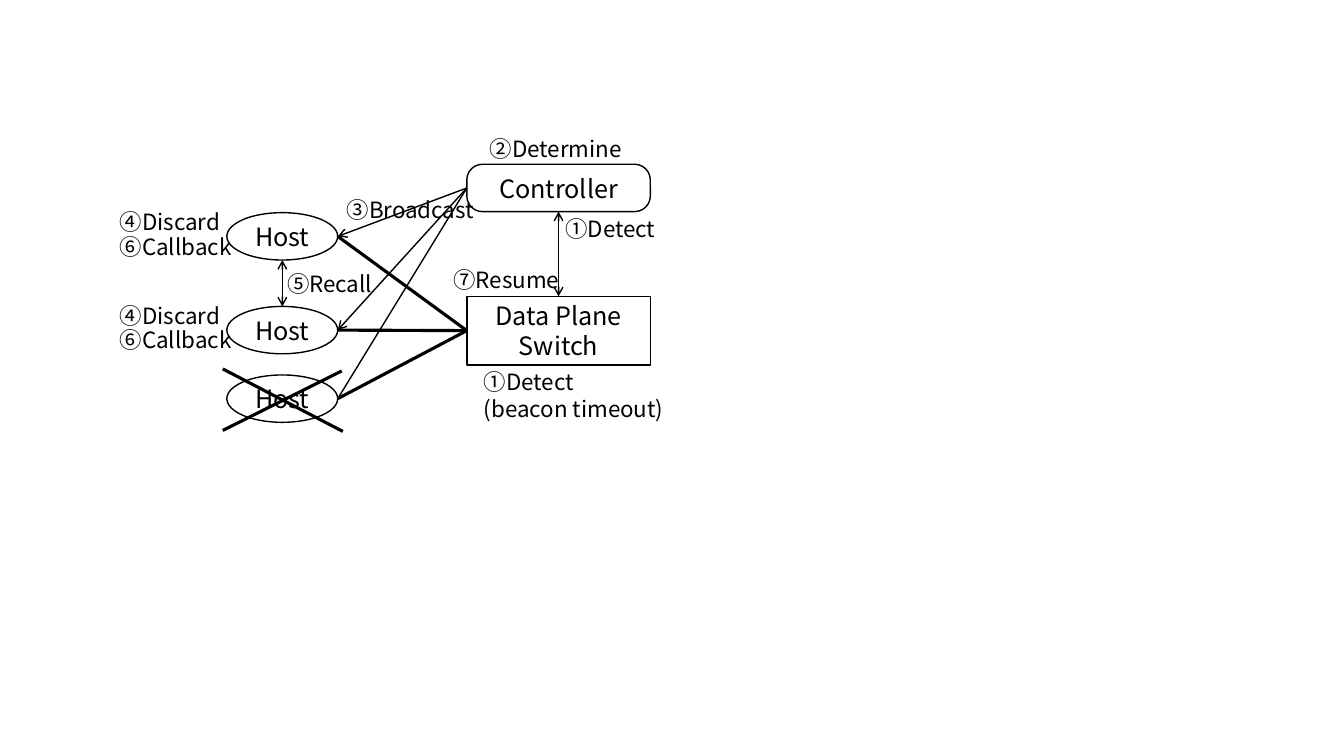
from pptx import Presentation
from pptx.dml.color import RGBColor
from pptx.enum.shapes import MSO_CONNECTOR as LINE, MSO_SHAPE as SHAPE
from pptx.enum.text import MSO_ANCHOR as ANCHOR, MSO_AUTO_SIZE as FIT, PP_ALIGN as ALIGN
from pptx.oxml.ns import qn
from pptx.util import Inches, Pt
from lxml.etree import SubElement

FONT = "Noto Sans CJK SC"
INK, PAPER = "000000", "FFFFFF"
THIN, THICK = 1, 2.25

deck = Presentation()
deck.slide_width, deck.slide_height = Inches(13.33), Inches(7.5)
slide = deck.slides.add_slide(deck.slide_layouts[6])

# Columns and rows of the diagram, in inches
HOST_LEFT, HOST_WIDTH = 2.25, 1.1
NODE_LEFT, NODE_WIDTH = 4.63, 1.82
HOST_TOPS = [2.11, 3.04, 3.72]
CONTROLLER_TOP, SWITCH_TOP = 1.63, 2.94
ROW, SWITCH_HEIGHT = 0.47, 0.68
LABEL_HEIGHT = 0.37
host_right = HOST_LEFT + HOST_WIDTH
host_middle = HOST_LEFT + HOST_WIDTH / 2
node_middle = NODE_LEFT + NODE_WIDTH / 2
host_centres = [top + ROW / 2 for top in HOST_TOPS]
controller_centre = CONTROLLER_TOP + ROW / 2
switch_centre = SWITCH_TOP + SWITCH_HEIGHT / 2


def write(shape, lines, size, align, **frame_format):
    """Fill a shape's text frame with one paragraph per line."""
    frame = shape.text_frame
    for name, value in {"word_wrap": True, **frame_format}.items():
        setattr(frame, name, value)
    frame.text = "\n".join(lines)
    for paragraph in frame.paragraphs:
        paragraph.alignment = align
        paragraph.line_spacing = Pt(size * 1.2)
        run = paragraph.runs[0]
        for name, value in {"name": FONT, "size": Pt(size)}.items():
            setattr(run.font, name, value)
        run.font.color.rgb = RGBColor.from_string(INK)
        SubElement(run.font._element, qn("a:ea"), typeface=FONT)


def connect(start, end, width, arrow_ends=()):
    """Draw a straight line, with open arrowheads at the given ends."""
    link = slide.shapes.add_connector(LINE.STRAIGHT, *map(Inches, start + end))
    link.line.width = Pt(width)
    link.line.color.rgb = RGBColor.from_string(INK)
    properties = link.element.spPr
    for end_name in arrow_ends:
        SubElement(properties.find(qn("a:ln")), qn(f"a:{end_name}"), type="arrow")
    SubElement(properties, qn("a:effectLst"))


# Hosts, switch and controller
nodes = [(SHAPE.OVAL, HOST_LEFT, top, HOST_WIDTH, ROW, "Host") for top in HOST_TOPS]
nodes += [
    (SHAPE.RECTANGLE, NODE_LEFT, SWITCH_TOP, NODE_WIDTH, SWITCH_HEIGHT, "Data Plane Switch"),
    (SHAPE.ROUNDED_RECTANGLE, NODE_LEFT, CONTROLLER_TOP, NODE_WIDTH, ROW, "Controller"),
]
for kind, left, top, width, height, caption in nodes:
    node = slide.shapes.add_shape(kind, *map(Inches, (left, top, width, height)))
    node.shadow.inherit = False
    node.fill.solid()
    node.fill.fore_color.rgb = RGBColor.from_string(PAPER)
    node.line.color.rgb = RGBColor.from_string(INK)
    node.line.width = Pt(THIN)
    if kind == SHAPE.ROUNDED_RECTANGLE:
        node.adjustments[0] = 0.33
    write(node, [caption], 18, ALIGN.CENTER, vertical_anchor=ANCHOR.MIDDLE)

# Data links to the switch, then broadcasts from the controller
for centre in host_centres:
    connect((host_right, centre), (NODE_LEFT, switch_centre), THICK)
for centre, heads in zip(host_centres, [["headEnd"], ["headEnd"], []]):
    connect((host_right, centre), (NODE_LEFT, controller_centre), THIN, heads)

# Two-way exchanges: controller with switch, host with host
for x, top, bottom in [
    (node_middle, CONTROLLER_TOP + ROW, SWITCH_TOP),
    (host_middle, HOST_TOPS[0] + ROW, HOST_TOPS[1]),
]:
    connect((x, top), (x, bottom), THIN, ["headEnd", "tailEnd"])

# Numbered steps
steps = [
    (5.51, 2.09, 1.28, ["①Detect"]),
    (4.76, 1.29, 1.78, ["②Determine"]),
    (3.34, 1.9, 1.78, ["③Broadcast"]),
    (2.75, 2.63, 1.31, ["⑤Recall"]),
    (4.4, 2.59, 1.78, ["⑦Resume"]),
    (4.7, 3.6, 2.08, ["①Detect", "(beacon timeout)"]),
]
for top in HOST_TOPS[:2]:
    steps += [(1.09, top - 0.09, 1.78, ["④Discard"]), (1.09, top + 0.15, 1.78, ["⑥Callback"])]
for left, top, width, lines in steps:
    height = LABEL_HEIGHT + 0.27 * (len(lines) - 1)
    label = slide.shapes.add_textbox(*map(Inches, (left, top, width, height)))
    write(label, lines, 16, ALIGN.LEFT, auto_size=FIT.SHAPE_TO_FIT_TEXT)

# Cross over the failed host
connect((2.21, 3.66), (3.4, 4.28), THICK)
connect((2.21, 4.27), (3.39, 3.68), THICK)

deck.save("out.pptx")
